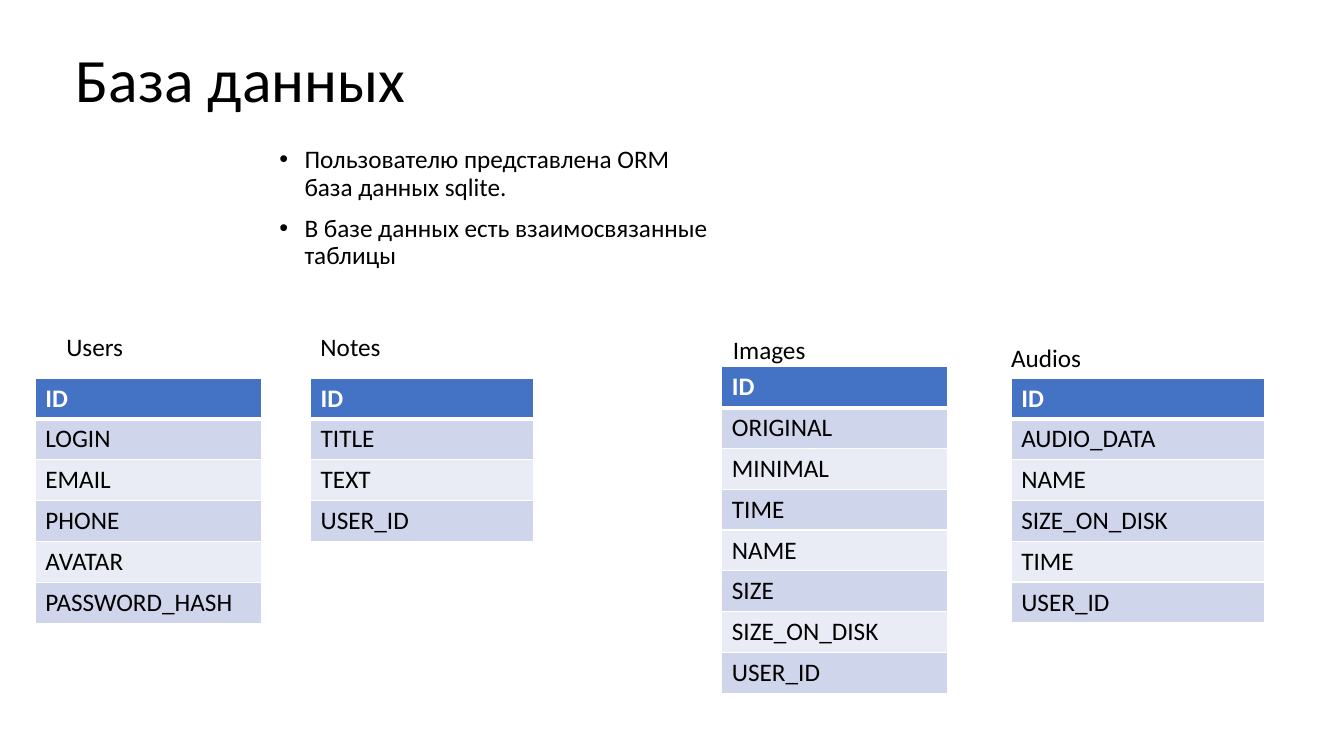
from dataclasses import dataclass

from lxml import etree
from pptx import Presentation
from pptx import util as u
from pptx.dml.color import RGBColor
from pptx.enum import text
from pptx.oxml import ns

WIDE, HIGH = u.Inches(13.33), u.Inches(7.5)
ROW = 5.4
BLACK, WHITE, BLUE = "000000", "FFFFFF", "4472C4"
BANDS = ("E9EBF5", "CFD5EA")
BULLETS = (
    "Пользователю представлена ORM база данных sqlite.",
    "В базе данных есть взаимосвязанные таблицы",
)


@dataclass
class Box:
    left: float
    top: float
    width: float
    height: float = ROW

    def scale(self) -> tuple[int, ...]:
        sides = (WIDE, HIGH, WIDE, HIGH)
        shares = (self.left, self.top, self.width, self.height)
        return tuple(round(side * share / 100) for side, share in zip(sides, shares))


@dataclass
class Entity:
    name: str
    label: Box
    grid: Box
    fields: str


ENTITIES = (
    Entity("Users", Box(4.2, 43.2, 18.83), Box(2.63, 50, 16.8),
           "ID LOGIN EMAIL PHONE AVATAR PASSWORD_HASH"),
    Entity("Notes", Box(23.11, 43.2, 16.58), Box(23.11, 50, 16.58),
           "ID TITLE TEXT USER_ID"),
    Entity("Images", Box(53.79, 43.6, 16.8), Box(53.71, 48.53, 16.8),
           "ID ORIGINAL MINIMAL TIME NAME SIZE SIZE_ON_DISK USER_ID"),
    Entity("Audios", Box(74.49, 44.67, 20.18), Box(75.24, 50, 18.83),
           "ID AUDIO_DATA NAME SIZE_ON_DISK TIME USER_ID"),
)


def color(code: str) -> RGBColor:
    return RGBColor.from_string(code)


def style(para, size: float = 18, code: str = BLACK, bold: bool = False) -> None:
    font = para.font
    font.name, font.size, font.bold = "Calibri", u.Pt(size), bold
    font.color.rgb = color(code)
    para.alignment = text.PP_ALIGN.LEFT


def place(shape, box: Box) -> None:
    shape.left, shape.top, shape.width, shape.height = box.scale()


def border(cell, side: str, points: float) -> None:
    props = cell._tc.get_or_add_tcPr()
    line = etree.SubElement(props, ns.qn(f"a:ln{side}"), w=str(u.Pt(points)))
    fill = etree.SubElement(line, ns.qn("a:solidFill"))
    etree.SubElement(fill, ns.qn("a:srgbClr"), val=WHITE)


def draw_title(shape) -> None:
    place(shape, Box(4.88, 1.2, 86.27, 19.33))
    frame = shape.text_frame
    frame.text = "База данных"
    frame.vertical_anchor = text.MSO_ANCHOR.MIDDLE
    frame.auto_size = text.MSO_AUTO_SIZE.NONE
    para = frame.paragraphs[0]
    style(para, 44)
    para.line_spacing = 0.9


def draw_body(shape) -> None:
    place(shape, Box(20.03, 18.8, 33.76, 24.4))
    frame = shape.text_frame
    frame.text = "\n".join(BULLETS)
    frame.auto_size = text.MSO_AUTO_SIZE.NONE
    for para in frame.paragraphs:
        style(para)
        para.line_spacing = 0.9
        para.space_before = u.Pt(10)
        props = para._p.get_or_add_pPr()
        props.set("marL", str(u.Inches(0.25)))
        props.set("indent", str(u.Inches(-0.25)))


def draw_label(slide, entity: Entity) -> None:
    frame = slide.shapes.add_textbox(*entity.label.scale()).text_frame
    frame.word_wrap = True
    frame.auto_size = text.MSO_AUTO_SIZE.SHAPE_TO_FIT_TEXT
    frame.text = entity.name
    style(frame.paragraphs[0])


def draw_table(slide, entity: Entity) -> None:
    fields = entity.fields.split()
    grid = entity.grid
    box = Box(grid.left, grid.top, grid.width, ROW * len(fields))
    table = slide.shapes.add_table(len(fields), 1, *box.scale()).table
    for row, field in enumerate(fields):
        head = row == 0
        cell = table.cell(row, 0)
        cell.text = field
        style(cell.text_frame.paragraphs[0], code=WHITE if head else BLACK, bold=head)
        for side in "LRTB":
            thick = (head and side == "B") or (row == 1 and side == "T")
            border(cell, side, 3 if thick else 1)
        cell.fill.solid()
        cell.fill.fore_color.rgb = color(BLUE if head else BANDS[row % 2])


def main() -> None:
    deck = Presentation()
    deck.slide_width, deck.slide_height = WIDE, HIGH
    slide = deck.slides.add_slide(deck.slide_layouts[1])
    draw_title(slide.shapes.title)
    draw_body(slide.placeholders[1])
    for entity in ENTITIES:
        draw_table(slide, entity)
        draw_label(slide, entity)
    deck.save("out.pptx")


if __name__ == "__main__":
    main()
